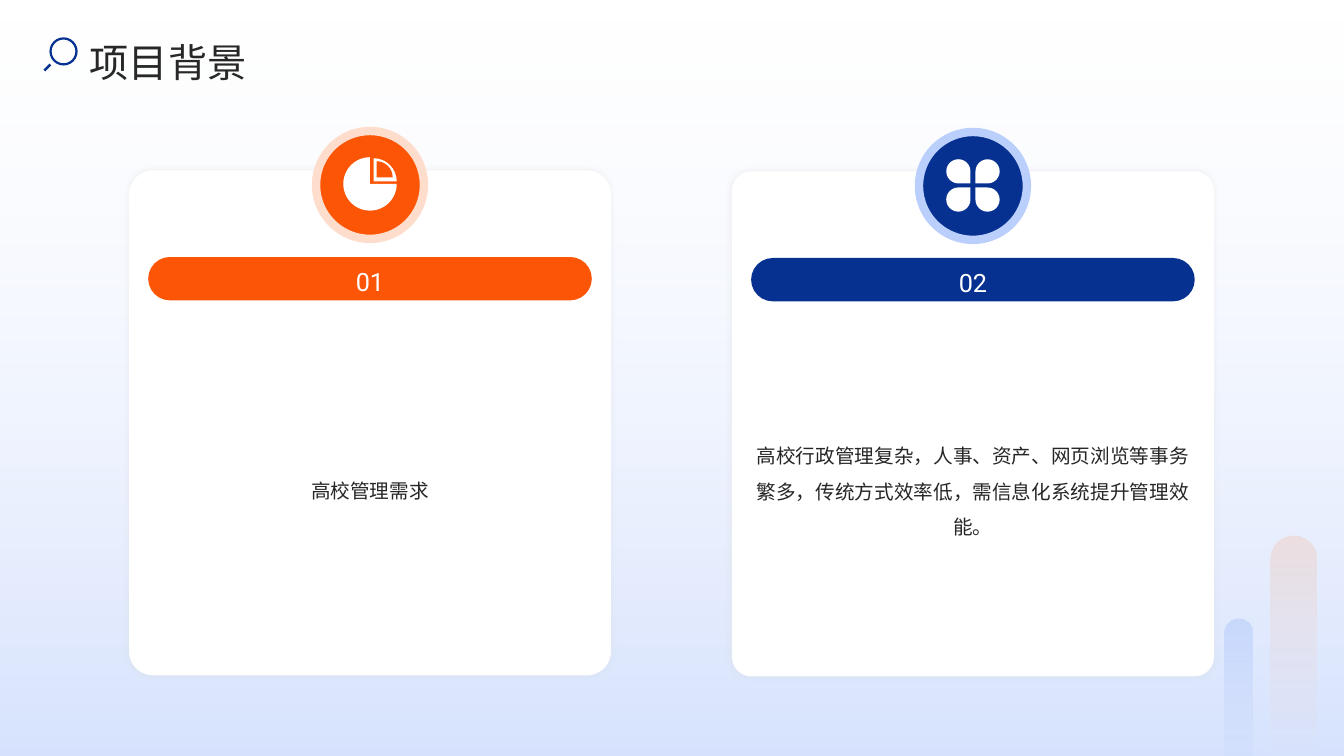
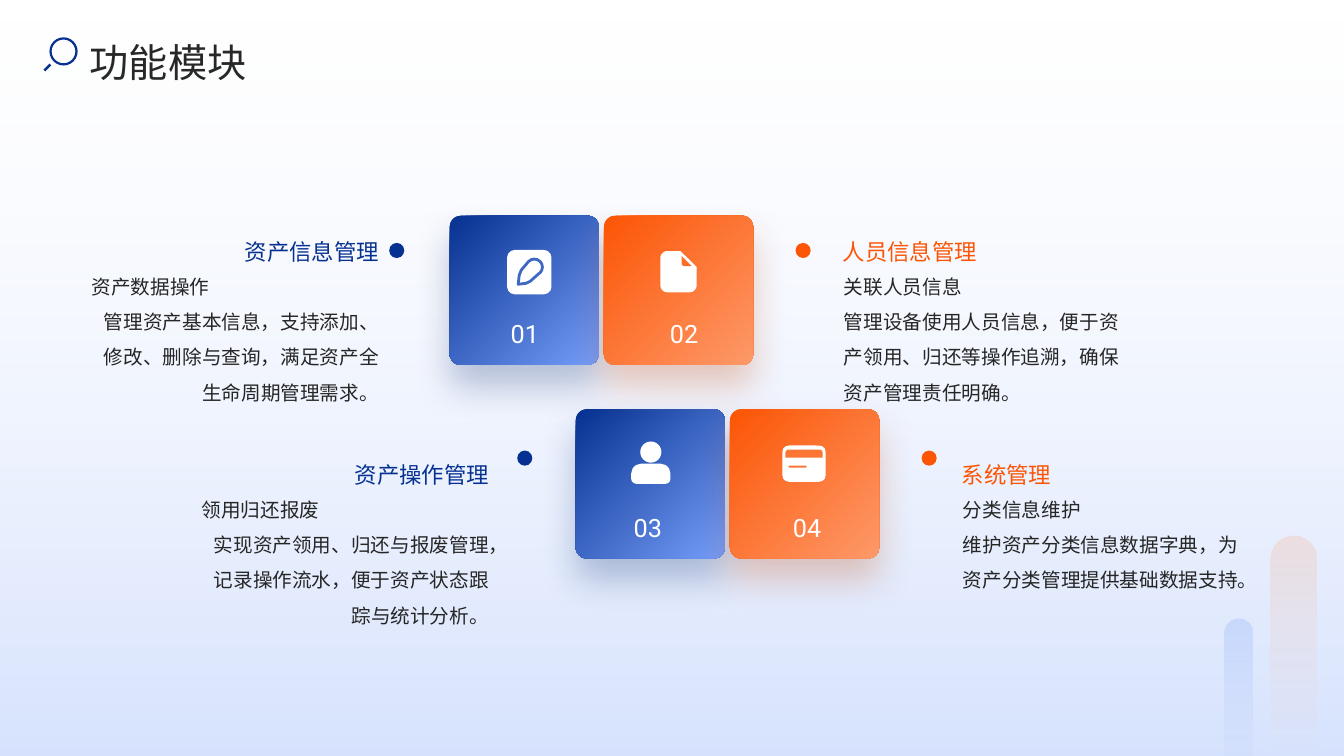
from math import cos, radians, sin

from pptx import Presentation
from pptx.dml.color import RGBColor
from pptx.enum.shapes import MSO_CONNECTOR, MSO_SHAPE as SHAPE
from pptx.enum.text import MSO_ANCHOR as ANCHOR, MSO_AUTO_SIZE as FIT, PP_ALIGN as ALIGN
from pptx.oxml.ns import qn
from pptx.oxml.xmlchemy import OxmlElement as Node
from pptx.util import Inches, Pt

# Shared style
NAVY, ORANGE, INK, WHITE = "063190", "FC5505", "262626", "FFFFFF"
SKY, PEACH, AZURE, CORAL = "BACFFC", "FEDDCD", "306EF6", "FD9969"
HAN, LATIN = "Noto Sans CJK SC", "Roboto"
WIDE, HIGH = 13.33, 7.5
TILE, GAP = 1.48, 0.05
LEFT, RIGHT, MID = ALIGN.LEFT, ALIGN.RIGHT, ALIGN.CENTER
# Fill, end colour and shadow colour of the tiles
BLUES = (NAVY, "759EF9", "04256C")
REDS = (ORANGE, CORAL, "BE3F02")


def rgb(code):
    return RGBColor.from_string(code)


def alpha(color, percent):
    node = Node("a:alpha")
    node.set("val", str(percent * 1000))
    color.append(node)


def paint(shape, fill=None, line=None, width=1):
    shape.shadow.inherit = False
    if fill:
        shape.fill.solid()
        shape.fill.fore_color.rgb = rgb(fill)
    else:
        shape.fill.background()
    if line:
        shape.line.color.rgb = rgb(line)
        shape.line.width = Pt(width)
    else:
        shape.line.fill.background()
    return shape


def add(slide, kind, x, y, w, h, fill=None, adj=(), turn=0, **line):
    shape = slide.shapes.add_shape(kind, Inches(x), Inches(y), Inches(w), Inches(h))
    for i, value in enumerate(adj):
        shape.adjustments[i] = value
    shape.rotation = turn
    return paint(shape, fill, **line)


def outline(slide, points, fill=None, **line):
    dots = [(Inches(x), Inches(y)) for x, y in points]
    pen = slide.shapes.build_freeform(*dots[0], scale=1.0)
    pen.add_line_segments(dots[1:], close=True)
    return paint(pen.convert_to_shape(), fill, **line)


def arc(x, y, r, start, end, steps=8):
    angles = [radians(start + (end - start) * i / steps) for i in range(steps + 1)]
    return [(x + r * cos(a), y + r * sin(a)) for a in angles]


def blend(shape, first, last, angle, fade=None):
    """Linear gradient; angle runs clockwise, fade holds two opacities."""
    shape.fill.gradient()
    shape.fill.gradient_angle = 360 - angle
    for stop, color, place in zip(shape.fill.gradient_stops, (first, last), (0, 1)):
        stop.color.rgb = rgb(color)
        stop.position = place
    if fade:
        colors = shape._element.spPr.iter(qn("a:srgbClr"))
        for color, percent in zip(list(colors), fade):
            alpha(color, percent)


def shade(shape, color, percent, blur, dist=0, angle=0):
    effects = shape._element.spPr.find(qn("a:effectLst"))
    shadow = Node("a:outerShdw")
    for key, value in (("blurRad", Pt(blur)), ("dist", Pt(dist)), ("dir", angle * 60000)):
        shadow.set(key, str(int(value)))
    shadow.set("rotWithShape", "0")
    tint = Node("a:srgbClr")
    tint.set("val", color)
    alpha(tint, percent)
    shadow.append(tint)
    effects.append(shadow)


def write(shape, *lines, size=14, color=INK, font=HAN, align=(LEFT,), space=1.5,
          anchor=ANCHOR.TOP, inset=0):
    """One paragraph for each line; align holds one value for each of them."""
    frame = shape.text_frame
    frame.word_wrap = True
    frame.auto_size = FIT.NONE
    frame.vertical_anchor = anchor
    frame.margin_left = frame.margin_right = Inches(inset)
    frame.margin_top = frame.margin_bottom = Inches(inset)
    for i, (line, side) in enumerate(zip(lines, align)):
        para = frame.add_paragraph() if i else frame.paragraphs[0]
        para.alignment, para.line_spacing = side, space
        para.space_before = para.space_after = Pt(0)
        run = para.add_run()
        run.text = line
        run.font.size, run.font.name = Pt(size), font
        run.font.color.rgb = rgb(color)
        east = Node("a:ea")
        east.set("typeface", font)
        run._r.get_or_add_rPr().append(east)


def label(slide, x, y, w, h, *lines, **style):
    write(slide.shapes.add_textbox(Inches(x), Inches(y), Inches(w), Inches(h)),
          *lines, **style)


# Frame of every slide
def lens(slide, x, y):
    add(slide, SHAPE.DONUT, x + 0.05, y, 0.28, 0.28, NAVY, adj=(0.08,))
    grip = slide.shapes.add_connector(
        MSO_CONNECTOR.STRAIGHT, Inches(x + 0.06), Inches(y + 0.27),
        Inches(x), Inches(y + 0.33))
    grip.line.color.rgb = rgb(NAVY)
    grip.line.width = Pt(1.75)
    grip._element.spPr.append(Node("a:effectLst"))


def start(deck, title):
    slide = deck.slides.add_slide(deck.slide_layouts[5])
    back = add(slide, SHAPE.RECTANGLE, 0, 0, WIDE, HIGH, WHITE)
    blend(back, SKY, AZURE, 90, (0, 20))
    # Columns in the corner
    for x, y, w, h, first, last, top in (
            (12.6, 5.31, 0.46, 2.54, CORAL, PEACH, 20),
            (12.15, 6.14, 0.27, 1.95, AZURE, SKY, 15)):
        bar = add(slide, SHAPE.ROUNDED_RECTANGLE, x, y, w, h, WHITE, adj=(0.5,))
        blend(bar, first, last, 90, (top, 0))
    head = slide.shapes.title
    head.left, head.top = Inches(0.89), Inches(0.24)
    head.width, head.height = Inches(11.35), Inches(0.59)
    write(head, title, size=28, space=1.3)
    lens(slide, 0.44, 0.37)
    return slide


# Icons, placed from the corner of their badge or tile
def chart(slide, x, y):
    add(slide, SHAPE.PIE, x + 0.27, y + 0.26, 0.53, 0.53, WHITE)
    for cx, cy, r, fill in ((0.57, 0.5, 0.23, WHITE), (0.6, 0.46, 0.16, ORANGE)):
        cx, cy = x + cx, y + cy
        outline(slide, [(cx, cy)] + arc(cx, cy, r, -90, 0), fill)


def petals(slide, x, y):
    for i, turn in enumerate((90, 180, 0, 270)):
        add(slide, SHAPE.TEAR, x + 0.27 + i % 2 * 0.29, y + 0.27 + i // 2 * 0.28,
            0.24, 0.24, WHITE, turn=turn)


def pencil(slide, x, y):
    add(slide, SHAPE.ROUNDED_RECTANGLE, x + 0.57, y + 0.34, 0.44, 0.44, WHITE, adj=(0.17,))
    x, y = x + 0.84, y + 0.51
    nib = [(-0.16, 0.17), (-0.15, 0.08), (-0.13, 0.03)]
    tail = [(0.05, 0.06), (-0.04, 0.14), (-0.08, 0.16)]
    points = [(x + a, y + b) for a, b in nib]
    points += arc(x, y, 0.08, -135, 45) + [(x + a, y + b) for a, b in tail]
    outline(slide, points, line="3F68C3", width=2)


def sheet(slide, x, y):
    x, y, w, h, r = x + 0.56, y + 0.35, 0.36, 0.41, 0.07
    points = arc(x + r, y + r, r, 180, 270) + [(x + 0.2, y), (x + w, y + 0.16)]
    points += arc(x + w - r, y + h - r, r, 0, 90) + arc(x + r, y + h - r, r, 90, 180)
    outline(slide, points, WHITE)
    fold = arc(x + 0.24, y + 0.12, 0.03, 180, 90)
    outline(slide, [(x + 0.21, y + 0.05)] + fold + [(x + 0.31, y + 0.15)], "FC6E2A")


def person(slide, x, y):
    add(slide, SHAPE.OVAL, x + 0.64, y + 0.32, 0.21, 0.21, WHITE)
    add(slide, SHAPE.ROUND_2_SAME_RECTANGLE, x + 0.55, y + 0.54, 0.39, 0.2, WHITE,
        adj=(0.5, 0.25))


def panel(slide, x, y):
    add(slide, SHAPE.ROUNDED_RECTANGLE, x + 0.52, y + 0.36, 0.43, 0.36, WHITE, adj=(0.18,))
    add(slide, SHAPE.ROUND_2_SAME_RECTANGLE, x + 0.55, y + 0.4, 0.37, 0.08, "FC7533",
        adj=(0.4, 0))
    add(slide, SHAPE.ROUNDED_RECTANGLE, x + 0.58, y + 0.56, 0.18, 0.02, "FC7533", adj=(0.5,))


# Regions
def card(slide, x, y, mark, words, fill, rim, icon, bend):
    w, h, disc = 4.78, 5.01, 1.07
    base = add(slide, SHAPE.ROUNDED_RECTANGLE, x, y, w, h, WHITE, adj=(bend,))
    shade(base, "D9D9D9", 40, 5)
    label(slide, x + 0.22, y + 1.43, w - 0.44, 3.37, words,
          align=(MID,), anchor=ANCHOR.MIDDLE)
    band = add(slide, SHAPE.ROUNDED_RECTANGLE, x + 0.19, y + 0.86, w - 0.38, 0.43, fill,
               adj=(0.5,))
    write(band, mark, size=18, color=WHITE, font=LATIN, align=(MID,), space=1.2,
          anchor=ANCHOR.MIDDLE, inset=0.05)
    left, top = x + (w - disc) / 2, y - 0.39
    add(slide, SHAPE.OVAL, left, top, disc, disc, fill, line=rim, width=6)
    icon(slide, left, top)


def tile(slide, x, y, mark, shift, tones, icon):
    first, last, dark = tones
    base = add(slide, SHAPE.ROUNDED_RECTANGLE, x, y, TILE, TILE, first, adj=(0.075,))
    blend(base, first, last, 45)
    shade(base, dark, 25, 26, 15, 90)
    icon(slide, x, y)
    label(slide, x + shift, y + 0.93, 1.39, 0.39, mark, size=18, color=WHITE, font=LATIN,
          align=(MID,), space=1.1, inset=0.06)


def note(slide, x, y, head, lead, words, color, side):
    label(slide, x, y, 2.86, 0.46, head, size=16, color=color, align=(side,),
          space=1.3, anchor=ANCHOR.BOTTOM)
    label(slide, x + 0.01, y + 0.44, 2.85, 1.31, lead, words, align=(LEFT, side))


def context(deck):
    slide = start(deck, "项目背景")
    card(slide, 1.28, 1.69, "01", "高校管理需求", ORANGE, PEACH, chart, 0.05)
    card(slide, 7.26, 1.7, "02",
         "高校行政管理复杂，人事、资产、网页浏览等事务繁多，传统方式效率低，需信息化系统提升管理效能。",
         NAVY, SKY, petals, 0.04)


def modules(deck):
    slide = start(deck, "功能模块")
    # Tile pairs: left, top, then mark, shift and icon of each
    for x, y, pair in (
            (5.71, 4.06, (("03", 0.02, person), ("04", 0.07, panel))),
            (4.46, 2.14, (("01", 0.05, pencil), ("02", 0.1, sheet)))):
        for i, (mark, shift, icon) in enumerate(pair):
            tile(slide, x + i * (TILE + GAP), y, mark, shift, (BLUES, REDS)[i], icon)
    # Dots beside the notes
    for x, y, fill in ((3.86, 2.41, NAVY), (7.89, 2.41, ORANGE),
                       (5.13, 4.47, NAVY), (9.14, 4.47, ORANGE)):
        add(slide, SHAPE.OVAL, x, y, 0.15, 0.15, fill)
    note(slide, 0.9, 2.17, "资产信息管理", "资产数据操作",
         "管理资产基本信息，支持添加、修改、删除与查询，满足资产全生命周期管理需求。", NAVY, RIGHT)
    note(slide, 8.36, 2.17, "人员信息管理", "关联人员信息",
         "管理设备使用人员信息，便于资产领用、归还等操作追溯，确保资产管理责任明确。", ORANGE, LEFT)
    note(slide, 1.99, 4.38, "资产操作管理", "领用归还报废",
         "实现资产领用、归还与报废管理，记录操作流水，便于资产状态跟踪与统计分析。", NAVY, RIGHT)
    note(slide, 9.54, 4.38, "系统管理", "分类信息维护",
         "维护资产分类信息数据字典，为资产分类管理提供基础数据支持。", ORANGE, LEFT)


def main():
    deck = Presentation()
    deck.slide_width, deck.slide_height = Inches(WIDE), Inches(HIGH)
    context(deck)
    modules(deck)
    deck.save("out.pptx")


if __name__ == "__main__":
    main()
